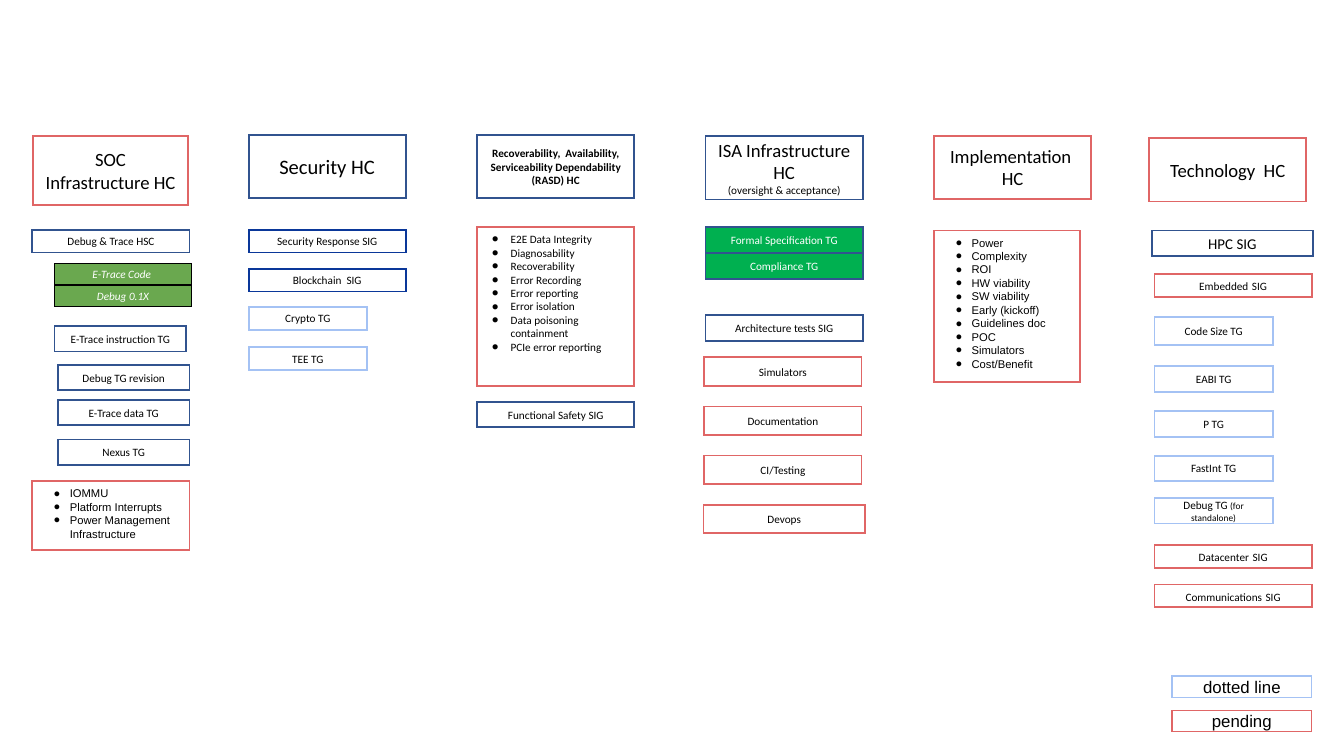
from dataclasses import dataclass, field

from lxml.etree import SubElement
from pptx import Presentation
from pptx.dml.color import RGBColor
from pptx.enum.shapes import MSO_SHAPE as Shape
from pptx.enum.text import MSO_ANCHOR as Anchor, PP_ALIGN as Align
from pptx.oxml.ns import qn
from pptx.util import Inches, Pt

# Grid: 1000 columns by 562.5 rows, square cells of 0.01 inch
COLS, ROWS = 1000, 562.5
CELL = Inches(0.01)

# Left column of each lane
SOC, SEC, RASD, ISA, IMPL, TECH = 24, 185, 355, 525, 695, 859
WIDE, SLIM, SUB = 117, 88, 98

NAVY, DEEP, PALE, RED = "31538F", "0A3799", "A4C2F4", "E06666"
BLACK, WHITE, GREEN, MOSS = "000000", "FFFFFF", "00B050", "6AA84F"


@dataclass
class Stack:
    """Boxes of one look in one lane; rows maps each label to its top row."""
    left: float
    wide: float
    high: float
    line: str
    rows: dict
    fill: str = ""
    edge: float = 1
    pad: tuple = (9, 4, 9, 4)
    font: dict = field(default_factory=dict)


@dataclass
class Panel:
    """A bulleted box."""
    left: float
    top: float
    wide: float
    high: float
    items: list
    pad: tuple = (16, 4, 0, 4)
    indent: tuple = (12, -17)
    face: str = "Arial"


def color(code: str) -> RGBColor:
    return RGBColor.from_string(code)


def cells(count: float) -> int:
    return round(count * CELL)


def write(para, text: str, *, size=6, face="Calibri", ink=BLACK,
          bold=False, slant=False) -> None:
    run = para.add_run()
    run.text = text
    font = run.font
    font.size, font.name = Pt(size), face
    font.bold, font.italic = bold, slant
    font.color.rgb = color(ink)


def draw_box(slide, left, top, wide, high, line, fill="", edge=1,
             pad=(9, 4, 9, 4), anchor=Anchor.MIDDLE):
    box = slide.shapes.add_shape(
        Shape.RECTANGLE, *map(cells, (left, top, wide, high)))
    box.shadow.inherit = False
    if fill:
        box.fill.solid()
        box.fill.fore_color.rgb = color(fill)
    else:
        box.fill.background()
    box.line.color.rgb = color(line)
    box.line.width = Pt(edge)
    # Square corners
    SubElement(box.line._get_or_add_ln(), qn("a:miter"), lim="800000")
    frame = box.text_frame
    frame.word_wrap = True
    frame.vertical_anchor = anchor
    (frame.margin_left, frame.margin_top,
     frame.margin_right, frame.margin_bottom) = map(cells, pad)
    return frame


def fill_text(frame, lines: list, align=Align.CENTER) -> None:
    """Each line is a list of (text, format) runs."""
    for i, runs in enumerate(lines):
        para = frame.add_paragraph() if i else frame.paragraphs[0]
        para.alignment = align
        for text, style in runs:
            write(para, text, **style)


def add_bullet(para, indent: tuple, face: str) -> None:
    props = para._p.get_or_add_pPr()
    props.set("marL", str(cells(indent[0])))
    props.set("indent", str(cells(indent[1])))
    tint = SubElement(props, qn("a:buClr"))
    SubElement(tint, qn("a:srgbClr"), val=BLACK)
    SubElement(props, qn("a:buSzPts"), val="600")
    SubElement(props, qn("a:buFont"), typeface=face)
    SubElement(props, qn("a:buChar"), char="●")


def draw_stack(slide, stack: Stack) -> None:
    for label, top in stack.rows.items():
        frame = draw_box(slide, stack.left, top, stack.wide, stack.high,
                         stack.line, stack.fill, stack.edge, stack.pad)
        fill_text(frame, [[(label, stack.font)]])


def draw_panel(slide, panel: Panel) -> None:
    frame = draw_box(slide, panel.left, panel.top, panel.wide, panel.high,
                     RED, pad=panel.pad, anchor=Anchor.TOP)
    fill_text(frame, [[(item, {"face": panel.face})] for item in panel.items],
              Align.LEFT)
    for para in frame.paragraphs:
        add_bullet(para, panel.indent, panel.face)


HEAD = {"size": 10}
LIGHT = {"ink": WHITE}
KEY = {"size": 9, "face": "Arial"}

STACKS = [
    # Lane headings
    Stack(24.5, 115.5, 51, RED, {"SOC Infrastructure HC": 101.5}, font=HEAD),
    Stack(SEC, WIDE, 47, NAVY, {"Security HC": 100.5}, font={"size": 11}),
    Stack(RASD, WIDE, 47, NAVY,
          {"Recoverability,  Availability, Serviceability Dependability "
           "(RASD) HC": 100.5}, font={"bold": True}),
    Stack(IMPL, WIDE, 47, RED, {"Implementation  HC": 101}, font=HEAD),
    Stack(855, WIDE, 47, RED, {"Technology  HC": 103}, font=HEAD),
    # SOC infrastructure
    Stack(SOC, WIDE, 17, NAVY, {"Debug & Trace HSC": 171}),
    Stack(40.5, 102, 16, BLACK, {"E-Trace Code ": 196, "Debug 0.1X": 212},
          MOSS, 0.75, (0, 0, 0, 0), {"ink": WHITE, "slant": True}),
    Stack(40.5, SUB, 19, NAVY, {"E-Trace instruction TG": 242.5}),
    Stack(43, SUB, 19, NAVY, {"Debug TG revision": 271.5,
                              "E-Trace data TG": 297.5, "Nexus TG": 327}),
    # Security
    Stack(SEC, WIDE, 17, DEEP, {"Security Response SIG": 171,
                                "Blockchain  SIG": 200}),
    Stack(SEC, SLIM, 17, PALE, {"Crypto TG": 228.5, "TEE TG": 258.5}),
    # Recoverability
    Stack(RASD, WIDE, 19, NAVY, {"Functional Safety SIG": 299}),
    # ISA infrastructure
    Stack(ISA, WIDE, 19, NAVY, {"Formal Specification TG": 169,
                                "Compliance TG": 188.5}, GREEN, font=LIGHT),
    Stack(ISA, WIDE, 19, NAVY, {"Architecture tests SIG": 234.5}),
    Stack(524, WIDE, 21.5, RED, {
        name: 266 + 36.5 * i for i, name in
        enumerate(["Simulators", "Documentation", "CI/Testing"])}),
    Stack(523.5, 120, 21, RED, {"Devops": 375.5}),
    # Technology
    Stack(857, 120, 19, NAVY, {"HPC SIG": 171.5}, font={"size": 8}),
    Stack(TECH, SLIM, 21, PALE, {"Code Size TG": 236}),
    Stack(TECH, SLIM, 19, PALE, {"EABI TG": 272.5, "P TG": 306,
                                 "FastInt TG": 339}),
    # Key
    Stack(872, 104, 16, PALE, {"dotted line": 503}, edge=0.75,
          pad=(10,) * 4, font=KEY),
    Stack(872, 104, 16, RED, {"pending": 528.5}, edge=0.75,
          pad=(10,) * 4, font=KEY),
]

PANELS = [
    Panel(RASD, 169, WIDE, 118.5,
          ["E2E Data Integrity", "Diagnosability", "Recoverability",
           "Error Recording", "Error reporting", "Error isolation",
           "Data poisoning containment", "PCIe error reporting"],
          (9, 4, 9, 4), (16, -14), "Calibri"),
    Panel(SOC, 358, WIDE, 51.5,
          ["IOMMU", "Platform Interrupts",
           "Power Management Infrastructure"]),
    Panel(IMPL, 171.5, 108.5, 112.5,
          ["Power", "Complexity", "ROI", "HW viability", "SW viability",
           "Early (kickoff)", "Guidelines doc", "POC", "Simulators",
           "Cost/Benefit"]),
]


def main() -> None:
    deck = Presentation()
    deck.slide_width, deck.slide_height = cells(COLS), cells(ROWS)
    slide = deck.slides.add_slide(deck.slide_layouts[6])

    for stack in STACKS:
        draw_stack(slide, stack)
    for panel in PANELS:
        draw_panel(slide, panel)

    # Boxes with mixed text formats
    frame = draw_box(slide, ISA, 101.5, WIDE, 47, NAVY)
    fill_text(frame, [[("ISA Infrastructure", HEAD)], [("HC", HEAD)],
                      [("(oversight & acceptance)", {})]])
    frame = draw_box(slide, TECH, 370.5, SLIM, 19, PALE)
    fill_text(frame, [[("Debug TG ", {}), ("(for standalone)", {"size": 5})]])
    groups = {"Embedded": 204, "Datacenter": 405.5, "Communications": 435}
    for name, top in groups.items():
        frame = draw_box(slide, TECH, top, WIDE, 17, RED)
        fill_text(frame, [[(name, {}), (" ", {"size": 7, "face": "Arial"}),
                           ("SIG", {})]])

    deck.save("out.pptx")


if __name__ == "__main__":
    main()
